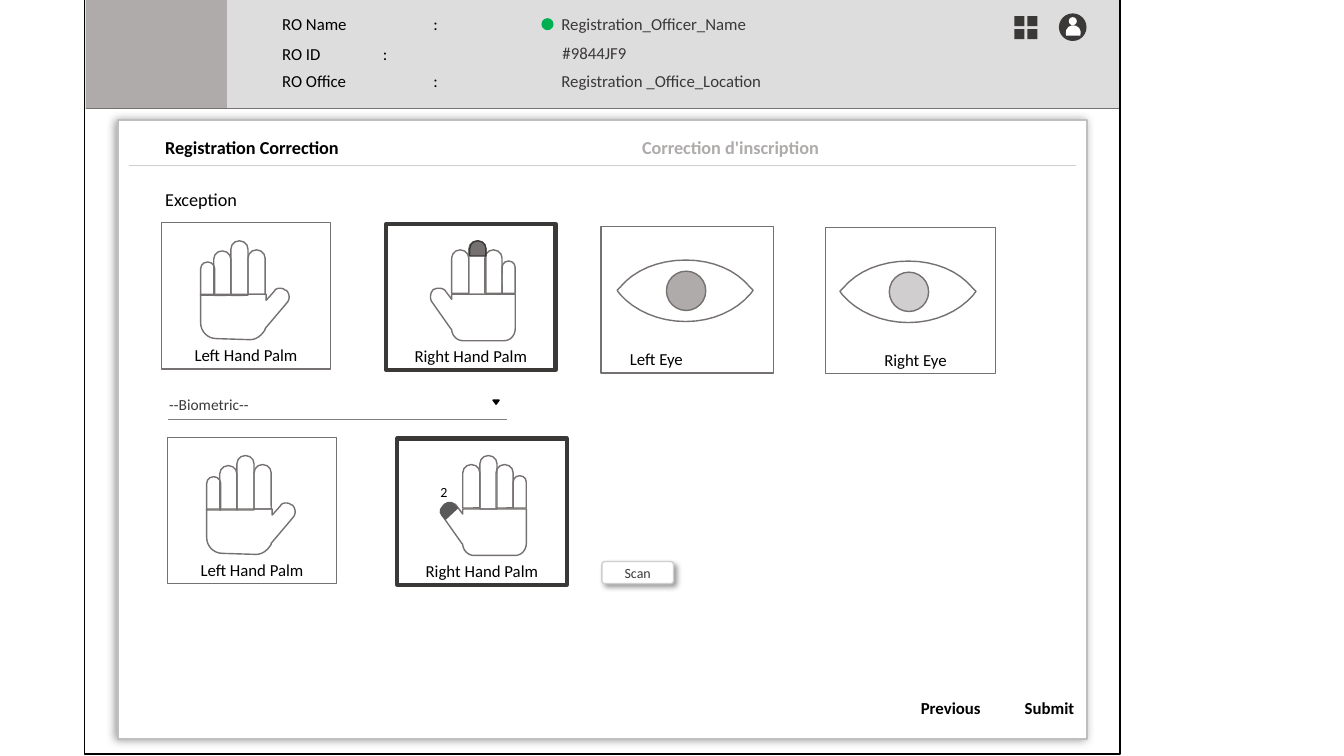
from dataclasses import dataclass
from typing import Optional

from lxml.etree import SubElement
from pptx import Presentation
from pptx.dml.color import RGBColor
from pptx.enum.shapes import MSO_CONNECTOR, MSO_SHAPE
from pptx.enum.text import MSO_ANCHOR, MSO_AUTO_SIZE, PP_ALIGN
from pptx.oxml.ns import qn
from pptx.util import Emu, Pt

PX = 9144  # one px is a hundredth of an inch
COLORS = {
    "white": "FFFFFF", "black": "000000", "ink": "3B3838", "outline": "767171",
    "taupe": "AFABAB", "pale": "D0CECE", "header": "DDDDDD", "panel": "BFBFBF",
    "rule": "808080", "thumb": "595959", "online": "00B050",
}
CURVE_STEPS = 8


@dataclass
class Box:
    left: int
    top: int
    width: int
    height: int

    def shifted(self, x: int, y: int) -> "Box":
        return Box(self.left + x, self.top + y, self.width, self.height)


@dataclass
class Shadow:
    color: str
    alpha: int
    blur: int
    distance: int
    angle: int


@dataclass
class Hand:
    label: str
    fingers: list[Box]
    palm: list[tuple[int, ...]]


@dataclass
class HandCard:
    hand: Hand
    left: int
    top: int
    color: str
    weight: float


@dataclass
class EyeCard:
    label: str
    frame: Box
    weight: float
    eye: tuple[int, int]
    iris: str
    caption: Box


# Outlines: a pair is a straight step, six numbers are a Bezier curve
LEFT_HAND = Hand(
    "Left Hand Palm",
    [Box(52, 28, 17, 44), Box(69, 18, 17, 54), Box(86, 27, 17, 44), Box(39, 39, 14, 33)],
    [(117, 65), (119, 65, 121, 65, 123, 67), (124, 67), (127, 70, 128, 75, 125, 79),
     (103, 105), (103, 106), (100, 111, 95, 116, 88, 116), (55, 115),
     (46, 115, 39, 108, 39, 99), (39, 71), (104, 71), (104, 77), (112, 68),
     (113, 66, 115, 65, 117, 65)])
RIGHT_HAND = Hand(
    "Right Hand Palm",
    [Box(65, 26, 17, 43), Box(82, 17, 17, 53), Box(98, 26, 17, 43), Box(115, 37, 13, 32)],
    [(53, 64), (55, 64, 58, 65, 59, 67), (65, 75), (65, 70), (128, 70), (128, 104),
     (128, 111, 123, 116, 117, 116), (76, 116), (71, 116, 66, 112, 65, 106),
     (65, 105), (64, 104), (45, 77), (43, 73, 44, 68, 47, 65), (48, 65),
     (49, 64, 51, 64, 53, 64)])
EYE_OUTLINE = [
    (68, 0), (95, 0, 118, 10, 132, 27), (135, 30), (132, 34),
    (118, 50, 95, 61, 68, 61), (41, 61, 17, 50, 3, 34), (0, 30), (3, 27),
    (17, 10, 41, 0, 68, 0)]

HAND_CARDS = [
    HandCard(LEFT_HAND, 160, 221, "outline", 1),
    HandCard(RIGHT_HAND, 383, 222, "ink", 3),
    HandCard(LEFT_HAND, 166, 434, "outline", 1),
    HandCard(RIGHT_HAND, 394, 435, "ink", 3),
]
EYE_CARDS = [
    EyeCard("Left Eye", Box(596, 225, 171, 145), 1, (612, 258), "taupe", Box(567, 341, 168, 30)),
    EyeCard("Right Eye", Box(819, 226, 168, 145), 0.75, (833, 259), "pale", Box(824, 342, 168, 30)),
]
OFFICER_ROWS = [
    ("RO Name", Box(264, 9, 227, 30), "Registration_Officer_Name", Box(541, 9, 212, 30)),
    ("RO ID", Box(264, 38, 227, 30), "#9844JF9", Box(542, 37, 91, 30)),
    ("RO Office", Box(264, 65, 227, 30), "Registration _Office_Location", Box(541, 65, 227, 30)),
]

prs = Presentation()
prs.slide_width, prs.slide_height = Emu(1333 * PX), Emu(750 * PX)
shapes = prs.slides.add_slide(prs.slide_layouts[6]).shapes


def rgb(name: str) -> RGBColor:
    return RGBColor.from_string(COLORS[name])


def paint(shape, fill: Optional[str], line: Optional[str], weight: float) -> None:
    shape.shadow.inherit = False
    if fill:
        shape.fill.solid()
        shape.fill.fore_color.rgb = rgb(fill)
    else:
        shape.fill.background()
    if line:
        shape.line.color.rgb = rgb(line)
        shape.line.width = Pt(weight)
    else:
        shape.line.fill.background()


def draw(kind: MSO_SHAPE, box: Box, fill: Optional[str] = None, line: Optional[str] = None,
         weight: float = 1, adjust: tuple[float, ...] = (), turn: float = 0):
    shape = shapes.add_shape(kind, box.left * PX, box.top * PX, box.width * PX, box.height * PX)
    paint(shape, fill, line, weight)
    for index, value in enumerate(adjust):
        shape.adjustments[index] = value
    shape.rotation = turn
    return shape


def cast(shape, shadow: Shadow) -> None:
    effects = shape.element.spPr.find(qn("a:effectLst"))
    outer = SubElement(effects, qn("a:outerShdw"), blurRad=str(Pt(shadow.blur)),
                       dist=str(Pt(shadow.distance)), dir=str(shadow.angle * 60000),
                       algn="ctr", rotWithShape="0")
    tint = SubElement(outer, qn("a:srgbClr"), val=COLORS[shadow.color])
    SubElement(tint, qn("a:alpha"), val=str(shadow.alpha * 1000))


def style(paragraph, text: str, size: float, color: str, bold: bool, align: PP_ALIGN) -> None:
    paragraph.text = text
    paragraph.alignment = align
    paragraph.font.name = "Calibri"
    paragraph.font.size = Pt(size)
    paragraph.font.bold = bold
    paragraph.font.color.rgb = rgb(color)


def write(text: str, box: Box, size: float = 12, color: str = "black", bold: bool = False,
          align: PP_ALIGN = PP_ALIGN.LEFT, wrap: bool = True, indent: int = 0) -> None:
    frame = shapes.add_textbox(box.left * PX, box.top * PX, box.width * PX, box.height * PX).text_frame
    frame.word_wrap = wrap
    frame.auto_size = MSO_AUTO_SIZE.SHAPE_TO_FIT_TEXT
    paragraph = frame.paragraphs[0]
    style(paragraph, text, size, color, bold, align)
    if indent:
        properties = paragraph._p.get_or_add_pPr()
        properties.set("marL", str(indent * PX))
        properties.set("indent", "0")


def rule(left: int, right: int, y: int, color: str, weight: float) -> None:
    line = shapes.add_connector(MSO_CONNECTOR.STRAIGHT, left * PX, y * PX, right * PX, y * PX)
    line.line.color.rgb = rgb(color)
    line.line.width = Pt(weight)
    SubElement(line.element.spPr, qn("a:effectLst"))


def outline(steps: list[tuple[int, ...]], left: int, top: int) -> None:
    points = [steps[0]]
    for step in steps[1:]:
        if len(step) == 2:
            points.append(step)
            continue
        controls = [points[-1], step[:2], step[2:4], step[4:]]
        for t in (n / CURVE_STEPS for n in range(1, CURVE_STEPS + 1)):
            weights = ((1 - t) ** 3, 3 * t * (1 - t) ** 2, 3 * t * t * (1 - t), t ** 3)
            points.append(tuple(sum(w * c[axis] for w, c in zip(weights, controls)) for axis in (0, 1)))
    placed = [((x + left) * PX, (y + top) * PX) for x, y in points]
    builder = shapes.build_freeform(*placed[0])
    builder.add_line_segments(placed[1:], close=True)
    paint(builder.convert_to_shape(), None, "outline", 1)


def draw_hand(card: HandCard) -> None:
    for finger in card.hand.fingers:
        draw(MSO_SHAPE.ROUND_2_SAME_RECTANGLE, finger.shifted(card.left, card.top),
             line="outline", adjust=(0.478, 0.033))
    outline(card.hand.palm, card.left, card.top)
    draw(MSO_SHAPE.FLOWCHART_PROCESS, Box(card.left, card.top, 168, 145), line=card.color, weight=card.weight)
    write(card.hand.label, Box(card.left, card.top + 116, 168, 30), align=PP_ALIGN.CENTER)


def draw_eye(card: EyeCard) -> None:
    draw(MSO_SHAPE.FLOWCHART_PROCESS, card.frame, line="outline", weight=card.weight)
    write(card.label, card.caption, align=PP_ALIGN.CENTER)
    outline(EYE_OUTLINE, *card.eye)
    draw(MSO_SHAPE.OVAL, Box(49, 11, 39, 39).shifted(*card.eye), card.iris, "outline")


# Panel and its bilingual title
panel = draw(MSO_SHAPE.ROUNDED_RECTANGLE, Box(117, 119, 961, 614), "white", "panel", adjust=(0,))
cast(panel, Shadow("rule", 80, 6, 2, 170))
write("Registration Correction", Box(154, 130, 223, 32), 13, bold=True)
write("Correction d'inscription", Box(627, 130, 267, 32), 13, "taupe", bold=True)
rule(128, 1067, 164, "pale", 0.5)

# Header with the officer's details
draw(MSO_SHAPE.RECTANGLE, Box(86, -1, 1024, 109), "header")
draw(MSO_SHAPE.RECTANGLE, Box(85, -2, 140, 110), "taupe")
rule(85, 1112, 108, "outline", 0.5)
for field, field_box, value, value_box in OFFICER_ROWS:
    write(f"{field}\t\t:", field_box, wrap=False, indent=6)
    write(value, value_box, color="ink", wrap=False, indent=6)
draw(MSO_SHAPE.OVAL, Box(537, 18, 12, 12), "online")

# User and menu icons
draw(MSO_SHAPE.OVAL, Box(1051, 14, 26, 26), "ink", "ink")
draw(MSO_SHAPE.OVAL, Box(1060, 17, 8, 8), "white")
draw(MSO_SHAPE.CHORD, Box(1057, 25, 15, 15), "white", turn=111.5)
for tile in range(4):
    draw(MSO_SHAPE.RECTANGLE, Box(1006 + tile % 2 * 13, 16 + tile // 2 * 13, 10, 10), "ink")

# Window border and navigation
draw(MSO_SHAPE.RECTANGLE, Box(84, -2, 1027, 750), line="black")
for action, action_box in (("Submit", Box(1006, 687, 70, 30)), ("Previous", Box(903, 687, 80, 30))):
    write(action, action_box, bold=True, align=PP_ALIGN.CENTER, wrap=False)

# Exception and biometric cards, with the marked fingers
write("Exception", Box(154, 182, 223, 32), 13)
for hand_card in HAND_CARDS:
    draw_hand(hand_card)
for eye_card in EYE_CARDS:
    draw_eye(eye_card)
draw(MSO_SHAPE.ROUND_2_SAME_RECTANGLE, Box(466, 239, 16, 15), "outline", "ink", adjust=(0.5, 0))
draw(MSO_SHAPE.ROUND_2_SAME_RECTANGLE, Box(436, 500, 16, 11), "thumb", "thumb", adjust=(0.5, 0), turn=317.1)
write("2", Box(427, 475, 26, 27), 10)

# Biometric drop-down
write("--Biometric--", Box(158, 387, 100, 29), 11, "ink", wrap=False)
draw(MSO_SHAPE.ISOSCELES_TRIANGLE, Box(489, 397, 6, 4), "black", "black", turn=180)
rule(167, 503, 416, "rule", 1)

# Scan button
scan = draw(MSO_SHAPE.ROUNDED_RECTANGLE, Box(597, 557, 71, 22), "white", "pale", adjust=(0.135,))
cast(scan, Shadow("black", 40, 4, 3, 45))
scan.text_frame.vertical_anchor = MSO_ANCHOR.MIDDLE
style(scan.text_frame.paragraphs[0], "Scan", 10, "ink", False, PP_ALIGN.CENTER)

prs.save("out.pptx")
